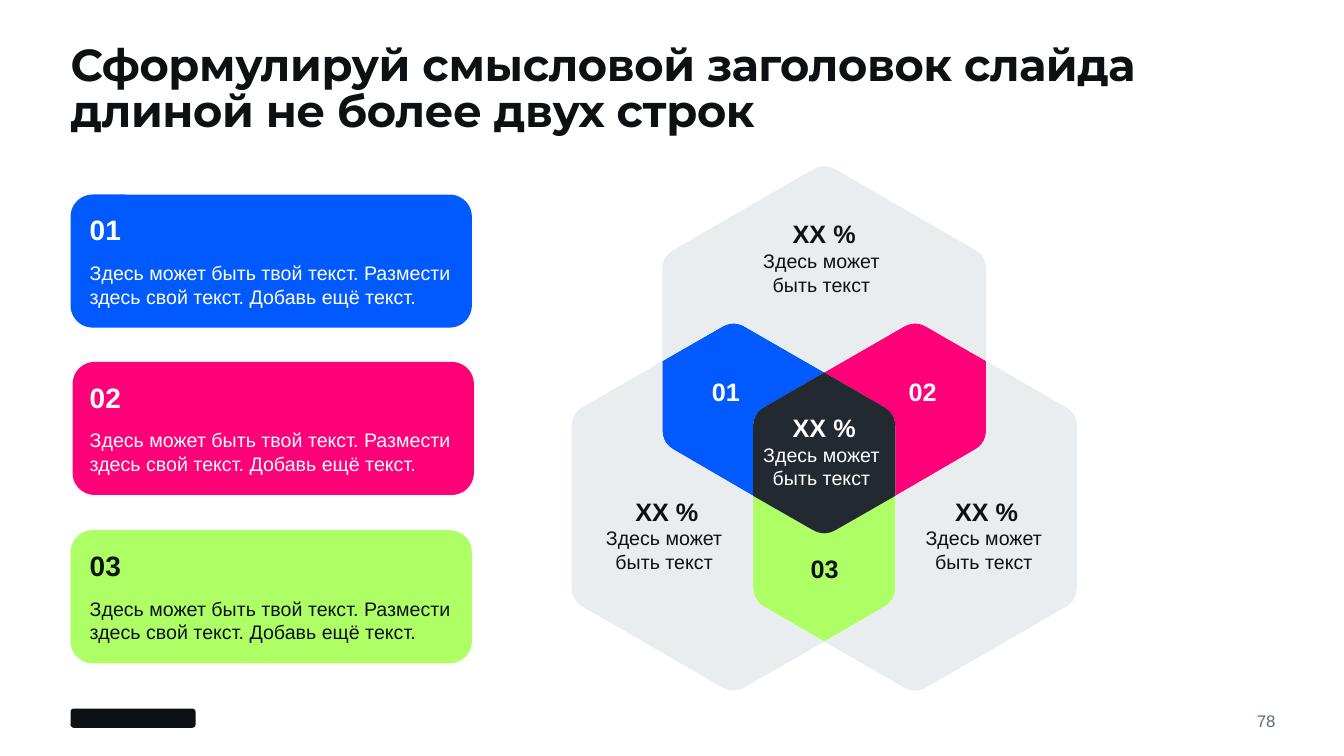
from dataclasses import dataclass
from math import hypot, sqrt

from pptx import Presentation
from pptx.dml.color import RGBColor
from pptx.enum.shapes import MSO_SHAPE as SHAPE
from pptx.enum.text import MSO_ANCHOR as ANCHOR, MSO_AUTO_SIZE as AUTO, PP_ALIGN as ALIGN
from pptx.util import Pt

PX = 9144  # EMU in one px, 100 px to the inch
TITLE = "Сформулируй смысловой заголовок слайда длиной не более двух строк"
CARD_TEXT = "Здесь может быть твой текст. Размести здесь свой текст. Добавь ещё текст."
CAPTION = ("Здесь может ", "быть текст ")


@dataclass(frozen=True)
class Theme:
    ink: str = "0E1114"
    white: str = "FFFFFF"
    blue: str = "005AFF"
    pink: str = "FF0078"
    green: str = "AEFF65"
    pale: str = "EAEDEF"
    dark: str = "222930"
    muted: str = "5A6C7D"
    heading_font: str = "Montserrat"
    body_font: str = "Arial"
    title: int = 32
    number: int = 20
    value: int = 18
    body: int = 14
    footer: int = 12


class Deck:
    def __init__(self, theme):
        self.theme = theme
        self.prs = Presentation()
        self.prs.slide_width, self.prs.slide_height = 1333 * PX, 750 * PX
        self.s = self.prs.slides.add_slide(self.prs.slide_layouts[5])

    def place(self, sp, box):
        for name, value in zip(("left", "top", "width", "height"), box):
            setattr(sp, name, value * PX)

    def frame(self, sp, anchor=ANCHOR.TOP):
        """Gives the shape a wrapping text frame without insets."""
        tf = sp.text_frame
        settings = dict(word_wrap=True, auto_size=AUTO.NONE, vertical_anchor=anchor,
                        margin_left=0, margin_top=0, margin_right=0, margin_bottom=0)
        for name, value in settings.items():
            setattr(tf, name, value)
        return tf

    def add_run(self, p, text, size, color, bold=False, font=None, align=ALIGN.LEFT):
        p.alignment = align
        r = p.add_run()
        r.text = text
        style = dict(name=font or self.theme.body_font, size=Pt(size), bold=bold)
        for name, value in style.items():
            setattr(r.font, name, value)
        r.font.color.rgb = RGBColor.from_string(color)
        return r

    def title(self, text, box):
        sp = self.s.shapes.title
        self.place(sp, box)
        p = self.frame(sp).paragraphs[0]
        p.line_spacing = 0.85
        r = self.add_run(p, text, self.theme.title, self.theme.ink, True,
                         self.theme.heading_font)
        r._r.get_or_add_rPr().set("spc", "-30")

    def text(self, box, lines, color, align=ALIGN.LEFT, anchor=ANCHOR.TOP):
        """Adds a text box; lines holds (text, size, bold) for each paragraph."""
        sp = self.s.shapes.add_textbox(*(v * PX for v in box))
        tf = self.frame(sp, anchor)
        for i, (text, size, bold) in enumerate(lines):
            p = tf.add_paragraph() if i else tf.paragraphs[0]
            self.add_run(p, text, size, color, bold, align=align)

    def paint(self, sp, color):
        sp.shadow.inherit = False
        sp.fill.solid()
        sp.fill.fore_color.rgb = RGBColor.from_string(color)
        sp.line.fill.background()

    def panel(self, box, color):
        sp = self.s.shapes.add_shape(SHAPE.ROUNDED_RECTANGLE, *(v * PX for v in box))
        self.paint(sp, color)

    def outline(self, points, color):
        start, *rest = [(round(x * PX), round(y * PX)) for x, y in points]
        builder = self.s.shapes.build_freeform(*start, scale=1.0)
        builder.add_line_segments(rest, close=True)
        self.paint(builder.convert_to_shape(), color)

    def card(self, x, y, number, color, text_color):
        t = self.theme
        self.panel((x, y, 398, 132), color)
        self.text((89, y + 18, 363, 34), [(number, t.number, True)], text_color)
        self.text((89, y + 66, 363, 47), [(CARD_TEXT, t.body, False)], text_color)

    def value(self, x, y, color):
        t = self.theme
        lines = [("XX %", t.value, True)] + [(line, t.body, False) for line in CAPTION]
        self.text((x, y, 153, 77), lines, color, ALIGN.CENTER)

    def label(self, x, y, number, color):
        self.text((x, y, 54, 30), [(number, self.theme.value, True)], color, ALIGN.CENTER)


def hexagon(cx, cy, half=160.5):
    """Returns six corners, clockwise from the top one."""
    side = 2 * half / sqrt(3)
    return [(cx, cy - side), (cx + half, cy - side / 2), (cx + half, cy + side / 2),
            (cx, cy + side), (cx - half, cy + side / 2), (cx - half, cy - side / 2)]


def toward(a, b, distance):
    k = distance / hypot(b[0] - a[0], b[1] - a[1])
    return a[0] + (b[0] - a[0]) * k, a[1] + (b[1] - a[1]) * k


def round_corner(before, corner, after, setback=13, steps=10):
    a, b = toward(corner, before, setback), toward(corner, after, setback)
    for i in range(steps + 1):
        t = i / steps
        yield tuple((1 - t) ** 2 * u + 2 * t * (1 - t) * v + t * t * w
                    for u, v, w in zip(a, corner, b))


def region(names, points):
    """Joins named points; hexagon corners (capital names) are rounded."""
    for i, name in enumerate(names):
        if name[0].isupper():
            after = points[names[(i + 1) % len(names)]]
            yield from round_corner(points[names[i - 1]], points[name], after)
        else:
            yield points[name]


def main():
    t = Theme()
    deck = Deck(t)
    deck.title(TITLE, (70, 45, 1193, 75))
    deck.panel((70, 703, 124, 19), t.ink)
    deck.text((1166, 703, 99, 24), [("78", t.footer, False)], t.muted,
              ALIGN.RIGHT, ANCHOR.MIDDLE)

    centres = {"T": (817.5, 347), "L": (727.5, 503), "R": (907.5, 503)}
    points = {f"{key}{i}": corner for key, centre in centres.items()
              for i, corner in enumerate(hexagon(*centre))}
    # Places where the edges of two hexagons cross
    points.update(nw=(657, 358.2), ne=(978, 358.2), n=(817.5, 369.5),
                  sw=(747, 492), se=(888, 492), s=(817.5, 636.5))
    regions = [
        ("nw L0 n R5 sw T4", t.blue),
        ("R0 ne T2 se L1 n", t.pink),
        ("se L2 s R4 sw T3", t.green),
        ("T0 T1 ne R0 n L0 nw T5", t.pale),
        ("ne R1 R2 R3 s L2 se T2", t.pale),
        ("nw T4 sw R4 s L3 L4 L5", t.pale),
        ("n L1 se T3 sw R5", t.dark),
    ]
    for names, color in regions:
        deck.outline(region(names.split(), points), color)

    for x, y, color in [(585, 492, t.ink), (902, 492, t.ink),
                        (741, 217, t.ink), (741, 409, t.white)]:
        deck.value(x, y, color)

    items = [("01", t.blue, t.white, 70, (693, 373)),
             ("02", t.pink, t.white, 72, (888, 373)),
             ("03", t.green, t.ink, 70, (791, 549))]
    for i, (number, color, text_color, x, spot) in enumerate(items):
        deck.label(*spot, number, text_color)
        deck.card(x, 193 + i * 333 // 2, number, color, text_color)

    deck.prs.save("out.pptx")


if __name__ == "__main__":
    main()
